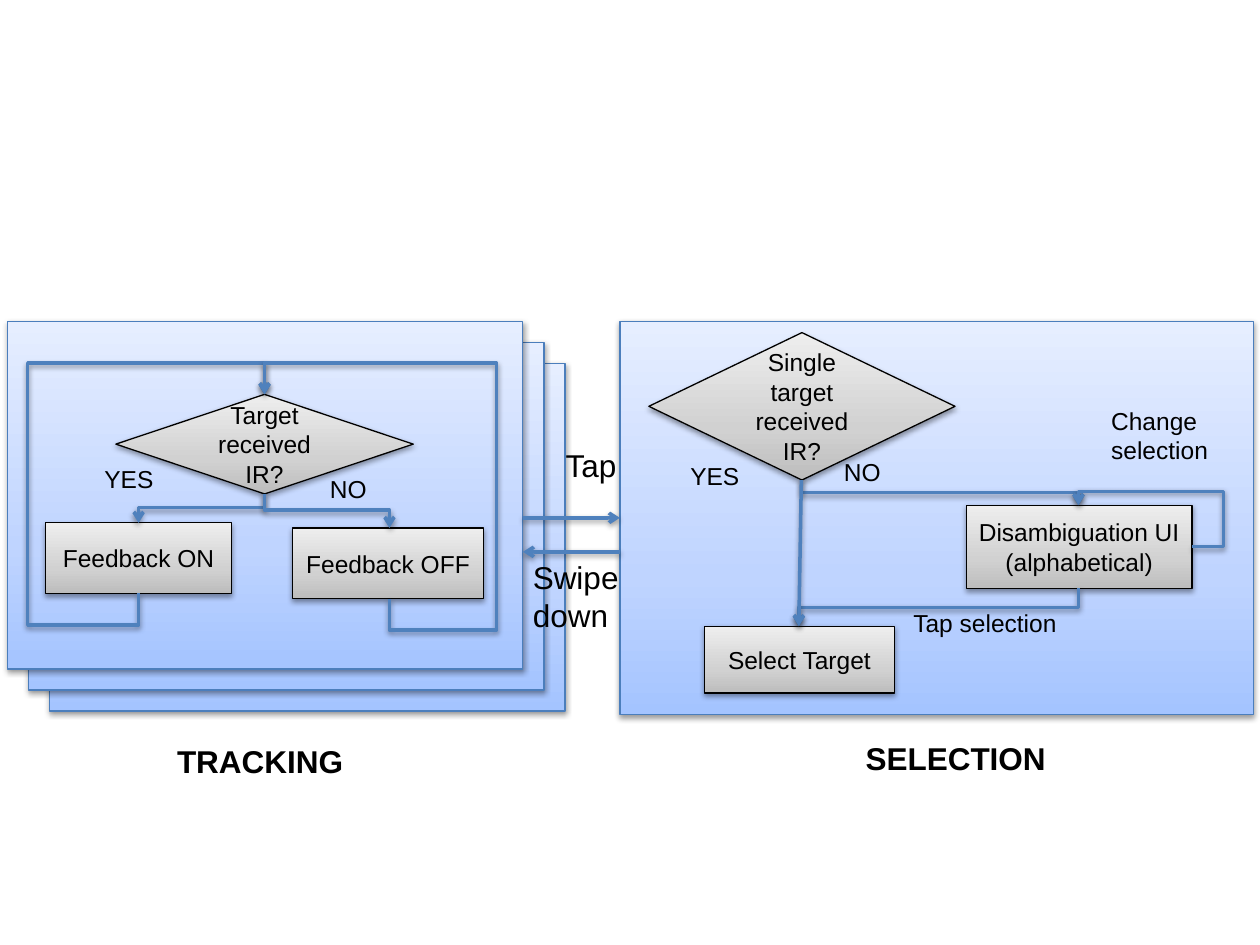
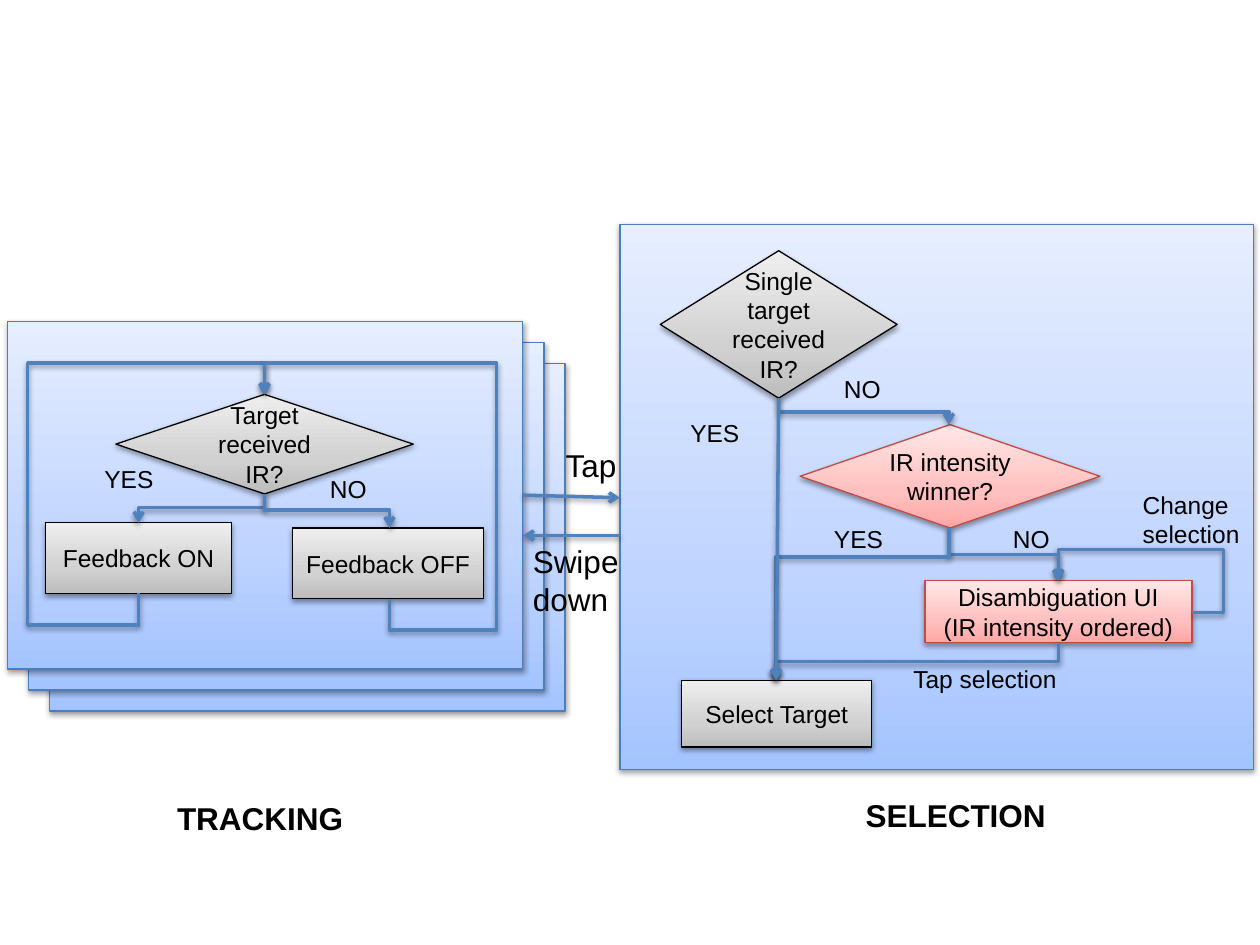
from pptx import Presentation
from pptx.dml.color import RGBColor
from pptx.enum.shapes import MSO_CONNECTOR, MSO_SHAPE
from pptx.enum.text import MSO_ANCHOR, MSO_AUTO_SIZE, PP_ALIGN
from pptx.oxml import parse_xml
from pptx.oxml.ns import nsdecls, qn
from pptx.util import Inches, Pt

COLORS = {"text": "000000", "arrow": "4F81BD"}
# Each tone: gradient from bottom to top, then the outline
TONES = {
    "blue": ("A4C4FF", "BFD4FF", "E6EEFF", "4B7EBC"),
    "grey": ("BDBDBD", "D1D1D1", "EEEEEE", "000000"),
    "red": ("FFA6A5", "FFC0BF", "FFE7E7", "BF4C48"),
}
FONT = "Arial"
RECT, DECISION = MSO_SHAPE.RECTANGLE, MSO_SHAPE.FLOWCHART_DECISION
SHADOW = (
    f'<a:effectLst {nsdecls("a")}><a:outerShdw blurRad="40000" dist="20000" '
    'dir="5400000" rotWithShape="0"><a:srgbClr val="000000">'
    '<a:alpha val="38000"/></a:srgbClr></a:outerShdw></a:effectLst>'
)


def add_block(slide, lines, box, kind=None, tone=None, size=14, bold=False):
    """Add a shaded shape, or a plain label if no kind is given."""
    bounds = [Inches(value) for value in box]
    if kind is None:
        block = slide.shapes.add_textbox(*bounds)
    else:
        block = slide.shapes.add_shape(kind, *bounds)
        *stops, outline = TONES[tone]
        gradient = "".join(
            f'<a:gs pos="{position}"><a:srgbClr val="{color}"/></a:gs>'
            for position, color in zip((0, 35000, 100000), stops))
        properties = block.element.spPr
        properties.find(qn("a:prstGeom")).addnext(parse_xml(
            f'<a:gradFill {nsdecls("a")} rotWithShape="1"><a:gsLst>{gradient}</a:gsLst>'
            '<a:lin ang="16200000" scaled="0"/></a:gradFill>'))
        block.line.color.rgb = RGBColor.from_string(outline)
        block.line.width = Pt(0.75)
        properties.append(parse_xml(SHADOW))

    frame = block.text_frame
    frame.word_wrap = kind is not None
    if kind is None:
        frame.auto_size = MSO_AUTO_SIZE.SHAPE_TO_FIT_TEXT
    else:
        frame.vertical_anchor = MSO_ANCHOR.MIDDLE
    for index, line in enumerate(lines):
        paragraph = frame.add_paragraph() if index else frame.paragraphs[0]
        paragraph.alignment = PP_ALIGN.CENTER if kind or bold else PP_ALIGN.LEFT
        run = paragraph.add_run()
        run.text = line
        run.font.name, run.font.size, run.font.bold = FONT, Pt(size), bold
        run.font.color.rgb = RGBColor.from_string(COLORS["text"])


def add_arrow(slide, start, end, *bends):
    """Add an arrow; bends are the y and x positions it turns at, in turn.

    One or three bends leave vertically (first bend is a y), two bends
    leave horizontally (first bend is an x), none gives a straight arrow.
    """
    (x1, y1), (x2, y2) = start, end
    if not bends:
        arrow = slide.shapes.add_connector(
            MSO_CONNECTOR.STRAIGHT, *[Inches(value) for value in (x1, y1, x2, y2)])
    else:
        vertical = len(bends) % 2
        dx, dy = x2 - x1, y2 - y1
        width, height = (abs(dy), abs(dx)) if vertical else (abs(dx), abs(dy))
        left, top = (x1 + x2 - width) / 2, (y1 + y2 - height) / 2
        arrow = slide.shapes.add_connector(
            MSO_CONNECTOR.ELBOW,
            *[Inches(value) for value in (left, top, left + width, top + height)])
        transform = arrow.element.spPr.find(qn("a:xfrm"))
        if vertical:
            down_right = dx > 0 and dy > 0
            transform.set("rot", "16200000" if down_right else "5400000")
            flip_h, flip_v = dy < 0 or dx > 0, dx > 0 and dy < 0
        else:
            flip_h, flip_v = dx < 0, dy < 0
        transform.set("flipH", str(int(flip_h)))
        transform.set("flipV", str(int(flip_v)))
        guides = ""
        for index, bend in enumerate(bends):
            along_y = (index + vertical) % 2
            ratio = (bend - y1) / dy if along_y else (bend - x1) / dx
            guides += f'<a:gd name="adj{index + 1}" fmla="val {round(ratio * 100000)}"/>'
        geometry = arrow.element.spPr.find(qn("a:prstGeom"))
        geometry.getparent().replace(geometry, parse_xml(
            f'<a:prstGeom {nsdecls("a")} prst="bentConnector{len(bends) + 2}">'
            f'<a:avLst>{guides}</a:avLst></a:prstGeom>'))
    arrow.line.color.rgb = RGBColor.from_string(COLORS["arrow"])
    arrow.line.width = Pt(2)
    outline = arrow.element.spPr.find(qn("a:ln"))
    outline.append(parse_xml(f'<a:tailEnd {nsdecls("a")} type="arrow"/>'))
    arrow.element.spPr.append(parse_xml(SHADOW))


# The tracking loop is the same on both slides
tracking_blocks = [
    (["Target received IR?"], (0.92, 3.13, 2.36, 0.79), DECISION, "grey"),
    (["Feedback OFF"], (2.32, 4.19, 1.52, 0.56), RECT, "grey"),
    (["Feedback ON"], (0.36, 4.15, 1.48, 0.56), RECT, "grey"),
]
tracking_arrows = [
    ((2.1, 3.92), (1.1, 4.15), 4.03),
    ((1.1, 4.71), (2.1, 3.13), 4.96, 0.22, 2.88),
    ((2.1, 3.92), (3.09, 4.19), 4.05),
    ((3.09, 4.75), (2.1, 3.13), 5, 3.94, 2.88),
]
tracking_labels = [
    (["YES"], (0.73, 3.63, 0.59, 0.34)),
    (["NO"], (2.52, 3.71, 0.5, 0.34)),
]

# The selection step differs: alphabetical list, then order by IR intensity
selections = [
    {
        "panel": (4.92, 2.55, 5.03, 3.12),
        "blocks": [
            (["Single target received IR?"], (5.15, 2.64, 2.43, 1.17), DECISION, "grey"),
            (["Disambiguation UI", "(alphabetical)"], (7.67, 4.01, 1.79, 0.66), RECT, "grey"),
            (["Select Target"], (5.59, 4.97, 1.51, 0.53), RECT, "grey"),
        ],
        "arrows": [
            ((6.36, 3.81), (8.56, 4.01), 3.91),
            ((8.56, 4.67), (6.34, 4.97), 4.82),
            ((9.46, 4.34), (8.56, 4.01), 9.71, 3.9),
            ((6.36, 3.81), (6.34, 4.97)),
        ],
        "labels": [
            (["NO"], (6.6, 3.58, 0.5, 0.34)),
            (["Tap selection"], (7.15, 4.78, 1.35, 0.34)),
            (["Change", "selection"], (8.72, 3.17, 0.98, 0.57)),
            (["YES"], (5.38, 3.61, 0.59, 0.34)),
        ],
        "tap": ((4.15, 4.11), (4.92, 4.11)),
        "swipe_y": 4.38,
        "caption_y": 5.82,
    },
    {
        "panel": (4.92, 1.78, 5.03, 4.33),
        "blocks": [
            (["Single target received IR?"], (5.24, 1.99, 1.88, 1.17), DECISION, "grey"),
            (["Disambiguation UI", "(IR intensity ordered)"],
             (7.34, 4.61, 2.12, 0.49), RECT, "red"),
            (["IR intensity winner?"], (6.35, 3.37, 2.38, 0.82), DECISION, "red"),
            (["Select Target"], (5.41, 5.4, 1.51, 0.53), RECT, "grey"),
        ],
        "arrows": [
            ((6.18, 3.16), (7.53, 3.37), 3.27),
            ((8.4, 5.1), (6.16, 5.4), 5.25),
            ((9.46, 4.86), (8.4, 4.61), 9.71, 4.36),
            ((7.53, 4.19), (8.4, 4.61), 4.4),
            ((7.53, 4.19), (6.16, 5.4), 4.42),
            ((6.18, 3.16), (6.16, 5.4)),
        ],
        "labels": [
            (["NO"], (6.6, 2.92, 0.5, 0.34)),
            (["Tap selection"], (7.15, 5.22, 1.35, 0.34)),
            (["Change", "selection"], (8.97, 3.84, 0.98, 0.57)),
            (["YES"], (6.52, 4.11, 0.59, 0.34)),
            (["NO"], (7.94, 4.11, 0.5, 0.34)),
            (["YES"], (5.38, 3.27, 0.59, 0.34)),
        ],
        "tap": ((4.15, 3.93), (4.92, 3.95)),
        "swipe_y": 4.25,
        "caption_y": 6.27,
    },
]

deck = Presentation()
deck.slide_width, deck.slide_height = Inches(10), Inches(7.5)

for selection in selections:
    slide = deck.slides.add_slide(deck.slide_layouts[6])

    add_block(slide, [], selection["panel"], RECT, "blue")
    for depth in (2, 1, 0):
        shift = depth / 6
        add_block(slide, [], (0.06 + shift, 2.55 + shift, 4.09, 2.76), RECT, "blue")

    for block in tracking_blocks + selection["blocks"]:
        add_block(slide, *block)
    for arrow in tracking_arrows + selection["arrows"]:
        add_arrow(slide, *arrow)
    for label in tracking_labels + selection["labels"]:
        add_block(slide, *label)

    # Gestures that switch between the two modes
    swipe_y, caption_y = selection["swipe_y"], selection["caption_y"]
    add_arrow(slide, *selection["tap"])
    add_arrow(slide, (4.92, swipe_y), (4.15, swipe_y))
    add_block(slide, ["Tap"], (4.39, 3.49, 0.61, 0.4), size=18)
    add_block(slide, ["Swipe", "down"], (4.13, swipe_y, 0.89, 0.71), size=18)

    add_block(slide, ["TRACKING"], (1.3, caption_y + 0.02, 1.53, 0.4), size=18, bold=True)
    add_block(slide, ["SELECTION"], (6.76, caption_y, 1.65, 0.4), size=18, bold=True)

deck.save("out.pptx")
